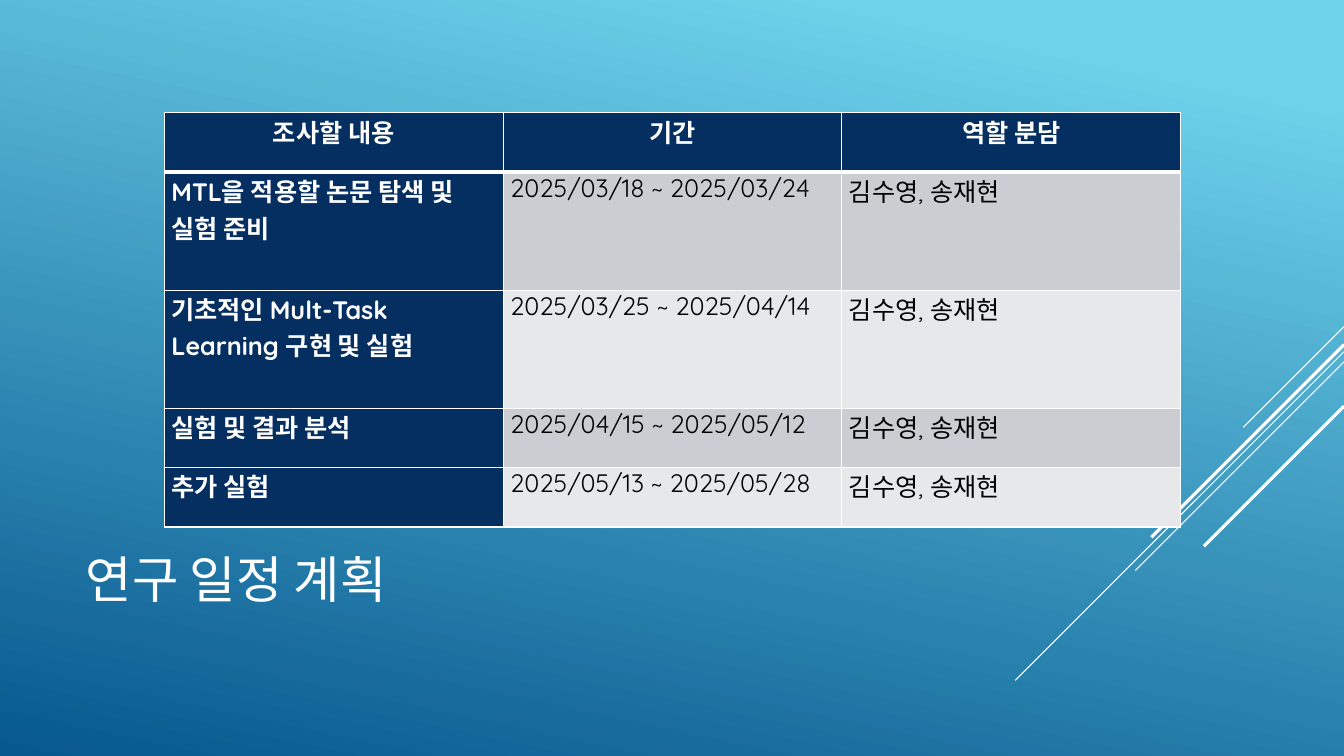
import pptx
import pptx.util
import pptx.dml.color
import pptx.enum.shapes
import pptx.enum.text
import pptx.oxml.ns
from lxml import etree
from dataclasses import dataclass

Inches = pptx.util.Inches
Pt = pptx.util.Pt
Align = pptx.enum.text.PP_ALIGN
qn = pptx.oxml.ns.qn


@dataclass(frozen=True)
class Theme:
    font: str = "Quicksand"
    white: str = "FFFFFF"
    black: str = "000000"
    navy: str = "052F61"
    bands: tuple = ("CCCDD2", "E7E8EA")
    sky: str = "6ED2EB"
    deep: str = "06588E"
    title: int = 36
    body: int = 18
    thin: float = 0.75
    thick: float = 2.25
    edge: int = 1
    rule: int = 3


THEME = Theme()

HEADS = ["조사할 내용", "기간", "역할 분담"]
TEAM = "김수영, 송재현"
PLAN = [
    ("MTL을 적용할 논문 탐색 및 실험 준비", "2025/03/18 ~ 2025/03/24"),
    ("기초적인 Mult-Task Learning 구현 및 실험", "2025/03/25 ~ 2025/04/14"),
    ("실험 및 결과 분석", "2025/04/15 ~ 2025/05/12"),
    ("추가 실험", "2025/05/13 ~ 2025/05/28"),
]
ROWS = [0.59, 1.17, 1.17, 0.59, 0.59]
COL = 3.36

# Each ray starts on the right edge: top, run to the lower left, width
RAYS = [
    (3.24, 1.0, THEME.thin),
    (3.49, 3.26, THEME.thin),
    (3.59, 2.07, THEME.thin),
    (3.42, 1.91, THEME.thick),
    (4.03, 1.39, THEME.thick),
]
WIDE, HIGH = 13.33, 7.5


def rgb(code):
    return pptx.dml.color.RGBColor.from_string(code)


def style(frame, size, color, bold=False, align=Align.LEFT):
    for para in frame.paragraphs:
        para.alignment = align
        for run in para.runs:
            font = run.font
            font.name, font.size, font.bold = THEME.font, Pt(size), bold
            font.color.rgb = rgb(color)


def paint(slide):
    """Fill the background with a slanted gradient."""
    fill = slide.background.fill
    fill.gradient()
    fill.gradient_angle = 258
    stops = [(0.1, THEME.sky), (1, THEME.deep)]
    for stop, (place, color) in zip(fill.gradient_stops, stops):
        stop.position = place
        stop.color.rgb = rgb(color)


def add_ray(slide, top, run, width):
    ray = slide.shapes.add_connector(
        pptx.enum.shapes.MSO_CONNECTOR.STRAIGHT,
        Inches(WIDE), Inches(top), Inches(WIDE - run), Inches(top + run))
    ray.line.color.rgb = rgb(THEME.white)
    ray.line.width = Pt(width)
    etree.SubElement(ray._element.spPr, qn("a:effectLst"))


def set_title(slide, text):
    title = slide.shapes.title
    title.left, title.top = Inches(0.75), Inches(4.91)
    title.width, title.height = Inches(9.33), Inches(1.65)
    frame = title.text_frame
    frame.text = text
    frame.auto_size = pptx.enum.text.MSO_AUTO_SIZE.NONE
    frame.vertical_anchor = pptx.enum.text.MSO_ANCHOR.MIDDLE
    style(frame, THEME.title, THEME.white)


def set_edges(cell, top, bottom):
    """Draw the four borders; they come before the fill in the XML."""
    props = cell._tc.get_or_add_tcPr()
    sides = [("lnL", THEME.edge), ("lnR", THEME.edge),
             ("lnT", top), ("lnB", bottom)]
    for spot, (side, width) in enumerate(sides):
        line = etree.Element(qn("a:" + side), w=str(Pt(width)))
        fill = etree.SubElement(line, qn("a:solidFill"))
        etree.SubElement(fill, qn("a:srgbClr"), val=THEME.white)
        props.insert(spot, line)


def fill_cell(cell, text, row, col):
    head = row == 0
    strong = head or col == 0
    cell.text_frame.text = text
    cell.margin_left = cell.margin_right = Inches(0.07)
    cell.margin_top = cell.margin_bottom = 0
    style(cell.text_frame, THEME.body,
          THEME.white if strong else THEME.black, strong,
          Align.CENTER if head else Align.LEFT)
    cell.fill.solid()
    cell.fill.fore_color.rgb = rgb(
        THEME.navy if strong else THEME.bands[(row - 1) % 2])
    set_edges(cell, THEME.rule if row == 1 else THEME.edge,
              THEME.rule if head else THEME.edge)


def add_plan(slide):
    data = [HEADS] + [(task, dates, TEAM) for task, dates in PLAN]
    table = slide.shapes.add_table(
        len(data), len(HEADS), Inches(1.63), Inches(1.12),
        Inches(COL * len(HEADS)), Inches(sum(ROWS))).table
    for col in table.columns:
        col.width = Inches(COL)
    for row, (height, texts) in enumerate(zip(ROWS, data)):
        table.rows[row].height = Inches(height)
        for col, text in enumerate(texts):
            fill_cell(table.cell(row, col), text, row, col)


def main():
    deck = pptx.Presentation()
    deck.slide_width, deck.slide_height = Inches(WIDE), Inches(HIGH)
    slide = deck.slides.add_slide(deck.slide_layouts[5])
    paint(slide)
    for ray in RAYS:
        add_ray(slide, *ray)
    set_title(slide, "연구 일정 계획")
    add_plan(slide)
    deck.save("out.pptx")


if __name__ == "__main__":
    main()
